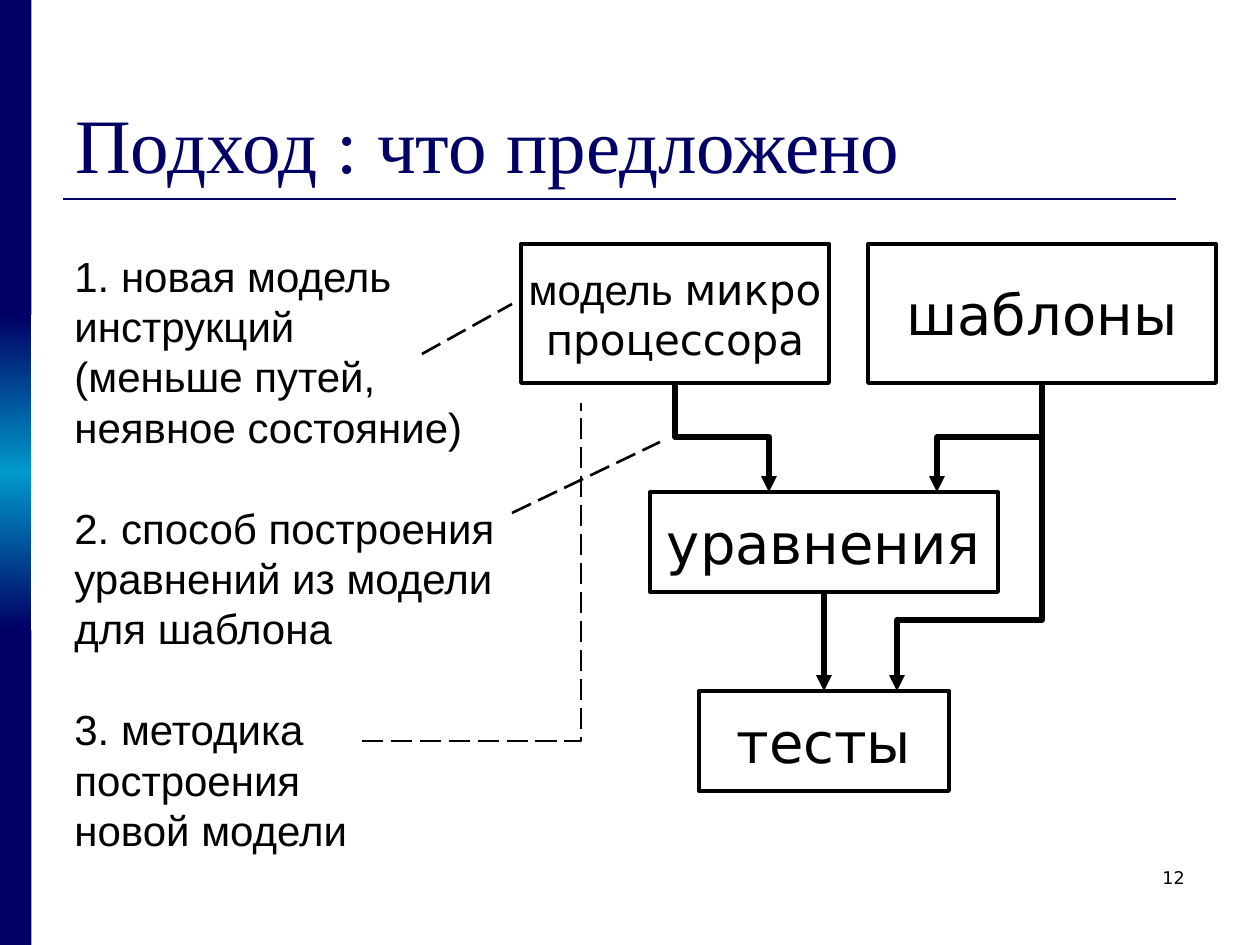
from copy import deepcopy

from pptx import Presentation
from pptx.dml.color import RGBColor
from pptx.enum.dml import MSO_LINE_DASH_STYLE as Dash
from pptx.enum.shapes import MSO_CONNECTOR as Link, MSO_SHAPE as Shape
from pptx.enum.text import MSO_ANCHOR as Anchor, PP_ALIGN as Align
from pptx.oxml.ns import qn
from pptx.util import Pt
from lxml.etree import SubElement

COLORS = {"navy": "000066", "cyan": "0099CC", "ink": "000000"}
SANS, ARIAL, SERIF = "DejaVu Sans", "Arial", "Times New Roman"
BOTTOM, TOP = 2, 0


def px(value):
    return round(value * 914400 / 126)


def rgb(name):
    return RGBColor.from_string(COLORS[name])


class Board:
    def __init__(self, slide):
        self.slide = slide
        self.shapes = slide.shapes

    def typeset(self, frame, paragraphs, size, color="ink", align=Align.LEFT,
                anchor=Anchor.TOP, wrap=True, leading=None):
        frame.word_wrap = wrap
        frame.vertical_anchor = anchor
        for index, runs in enumerate(paragraphs):
            paragraph = frame.add_paragraph() if index else frame.paragraphs[0]
            paragraph.alignment = align
            if leading:
                paragraph.line_spacing = Pt(leading)
                paragraph.space_before = Pt(leading if index else 0)
            for text, font in runs:
                for number, line in enumerate(text.split("\n")):
                    if number:
                        paragraph.add_line_break()
                    run = paragraph.add_run()
                    run.text = line
                    run.font.name = font
                    run.font.size = Pt(size)
                    run.font.color.rgb = rgb(color)

    def text(self, x, y, w, h, paragraphs, size, **style):
        box = self.shapes.add_textbox(px(x), px(y), px(w), px(h))
        self.typeset(box.text_frame, paragraphs, size, **style)

    def rect(self, x, y, w, h):
        shape = self.shapes.add_shape(Shape.RECTANGLE, px(x), px(y), px(w), px(h))
        shape.shadow.inherit = False
        return shape

    def band(self, y, h, colors):
        band = self.rect(0, y, 31.5, h)
        band.line.fill.background()
        if len(colors) == 1:
            band.fill.solid()
            band.fill.fore_color.rgb = rgb(colors[0])
            return
        band.fill.gradient()
        band.fill.gradient_angle = 90
        stop_list = band._element.spPr.find(".//" + qn("a:gsLst"))
        for _ in colors[2:]:
            stop_list.append(deepcopy(stop_list[0]))
        for index, (stop, color) in enumerate(zip(band.fill.gradient_stops, colors)):
            stop.position = index / (len(colors) - 1)
            stop.color.rgb = rgb(color)

    def node(self, x, y, w, h, runs, size):
        node = self.rect(x, y, w, h)
        node.fill.background()
        self.outline(node.line, 2.25)
        self.typeset(node.text_frame, [runs], size, align=Align.CENTER,
                     anchor=Anchor.MIDDLE, wrap=False)
        return node

    def outline(self, line, width, color="ink", dashed=False):
        line.width = Pt(width)
        line.color.rgb = rgb(color)
        if dashed:
            line.dash_style = Dash.LONG_DASH

    def connector(self, kind, start, end, width, color="ink", dashed=False, arrow=False):
        link = self.shapes.add_connector(kind, *map(px, (*start, *end)))
        self.outline(link.line, width, color, dashed)
        properties = link._element.spPr
        if arrow:
            SubElement(properties.find(qn("a:ln")), qn("a:tailEnd"), type="triangle")
        SubElement(properties, qn("a:effectLst"))
        return link

    def line(self, start, end, width, **style):
        return self.connector(Link.STRAIGHT, start, end, width, **style)

    def elbow(self, start, end, bend_y):
        (x1, y1), (x2, y2) = start, end
        run, drop = abs(x2 - x1), y2 - y1
        left, top = (x1 + x2 - drop) / 2, (y1 + y2 - run) / 2
        link = self.connector(Link.ELBOW, (left, top), (left + drop, top + run), 3,
                              arrow=True)
        properties = link._element.spPr
        frame = properties.find(qn("a:xfrm"))
        frame.set("rot", str((270 if x2 > x1 else 90) * 60000))
        if x2 > x1:
            frame.set("flipH", "1")
        geometry = properties.find(qn("a:prstGeom"))
        guides = geometry.find(qn("a:avLst"))
        if guides is None:
            guides = SubElement(geometry, qn("a:avLst"))
        share = round((bend_y - y1) / drop * 100000)
        SubElement(guides, qn("a:gd"), name="adj1", fmla=f"val {share}")

    def dashed_corner(self, first, *others):
        builder = self.shapes.build_freeform(px(first[0]), px(first[1]))
        builder.add_line_segments([(px(x), px(y)) for x, y in others], close=False)
        corner = builder.convert_to_shape()
        corner.shadow.inherit = False
        corner.fill.background()
        self.outline(corner.line, 1.5, dashed=True)


def main():
    deck = Presentation()
    deck.slide_width, deck.slide_height = px(1260), px(945)
    board = Board(deck.slides.add_slide(deck.slide_layouts[6]))

    for index, colors in enumerate([["navy"], ["navy", "cyan", "navy"], ["navy"]]):
        board.band(index * 315, 315, colors)
    board.line((63, 199), (1176, 199), 1.5, color="navy")
    board.text(903, 861, 294, 63, [[("12", SANS)]], 10, align=Align.RIGHT)
    board.text(63, 38, 1134, 157, [[("Подход : что предложено", SERIF)]], 44,
               color="navy", anchor=Anchor.BOTTOM)

    board.node(521, 244, 308, 139,
               [("модель ", ARIAL), ("микро\nпроцессора", SANS)], 24)
    board.node(868, 244, 348, 139, [("шаблоны", SANS)], 32)
    equations = board.node(650, 492, 348, 100, [("уравнения", SANS)], 32)
    tests = board.node(699, 691, 250, 100, [("тесты", SANS)], 32)

    board.elbow((675, 385), (769, 492), 437)
    board.elbow((1042, 385), (937, 492), 437)
    board.elbow((1042, 385), (897, 691), 620)
    solving = board.line((824, 592), (824, 691), 3, arrow=True)
    solving.begin_connect(equations, BOTTOM)
    solving.end_connect(tests, TOP)

    proposals = [
        "1. новая модель\nинструкций\n(меньше путей,\nнеявное состояние)",
        "2. способ построения\nуравнений из модели\nдля шаблона",
        "3. методика\nпостроения\nновой модели",
    ]
    board.text(62, 244, 446, 617, [[(item, ARIAL)] for item in proposals], 24,
               leading=28.8)
    board.line((422, 354), (512, 304), 1.5, dashed=True)
    board.line((512, 513), (660, 442), 1.5, dashed=True)
    board.dashed_corner((362, 741), (581, 741), (581, 403))

    deck.save("out.pptx")


if __name__ == "__main__":
    main()
